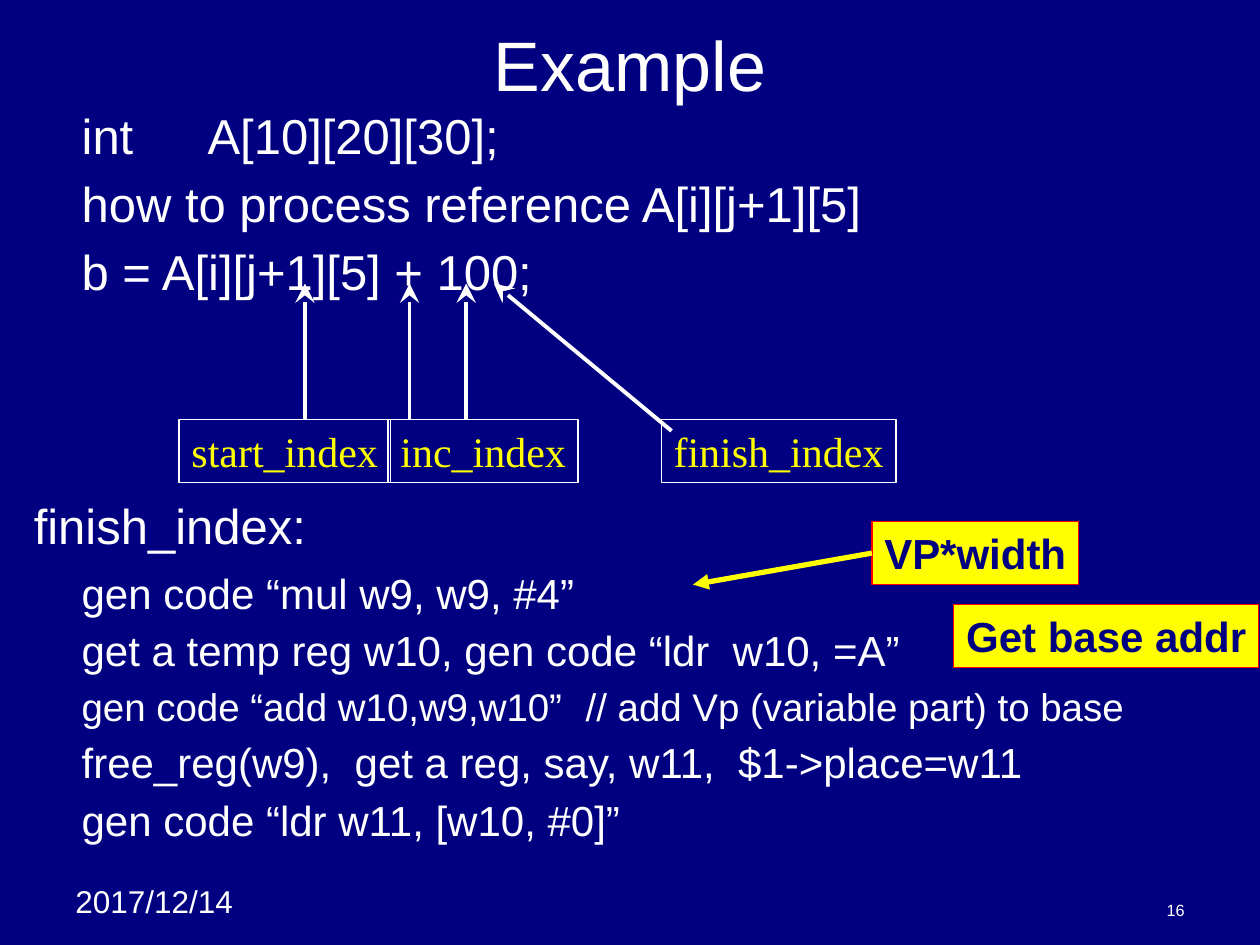
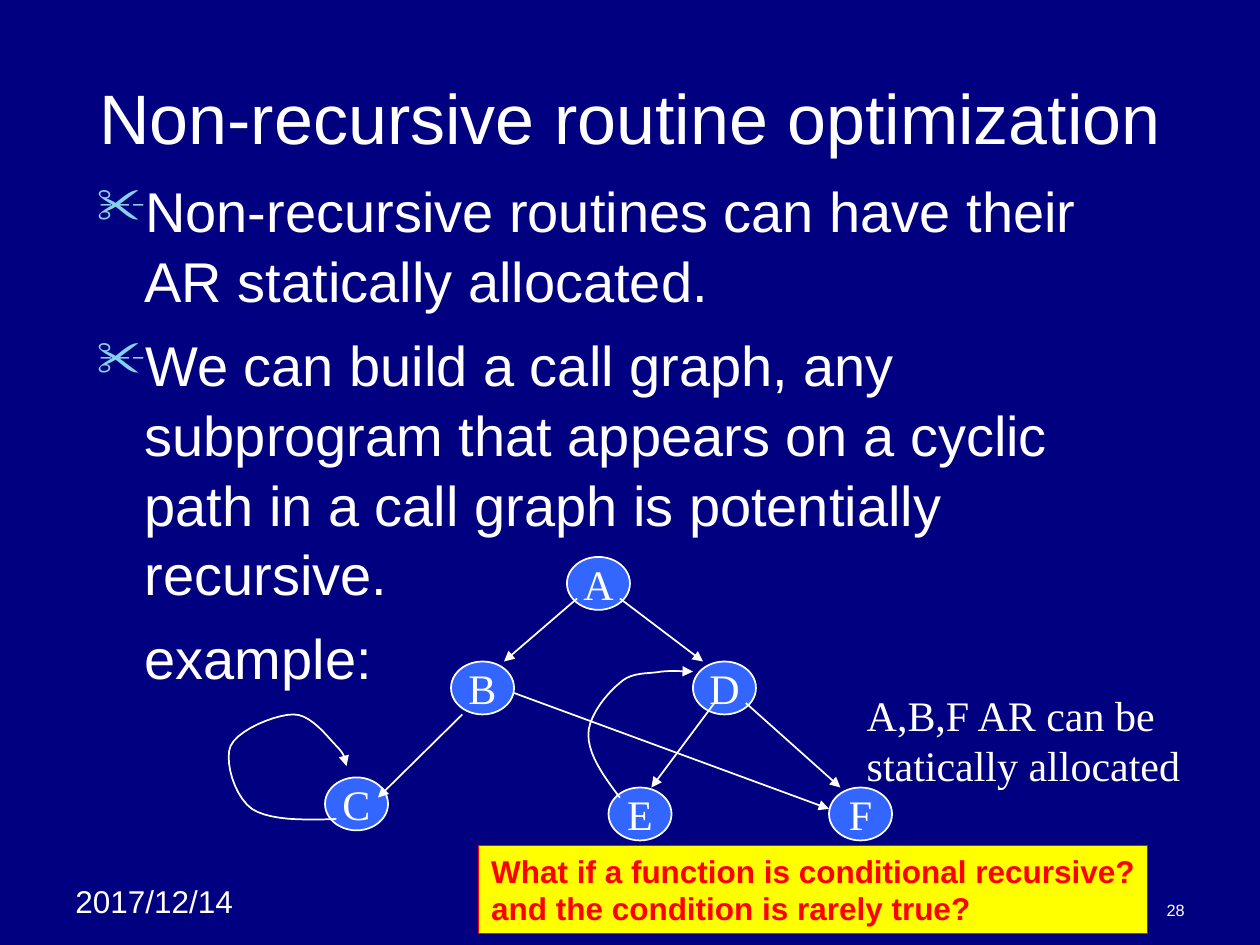
from pptx import Presentation
from pptx.dml.color import RGBColor
from pptx.enum.shapes import MSO_CONNECTOR, MSO_SHAPE
from pptx.enum.text import MSO_ANCHOR, PP_ALIGN
from pptx.oxml.ns import qn
from pptx.util import Inches, Pt
from lxml.etree import SubElement

COLORS = {"navy": "000080", "white": "FFFFFF", "yellow": "FFFF00",
          "red": "FF0000", "blue": "3366FF", "sky": "86D1EC"}
SANS, SERIF = "Arial", "Times New Roman"
INDENT = 0.38
CURVE_STEPS = 10


def rgb(name):
    return RGBColor.from_string(COLORS[name])


def add_bullet(para, char):
    props = para._p.get_or_add_pPr()
    color = SubElement(props, qn("a:buClr"))
    SubElement(color, qn("a:srgbClr"), val=COLORS["sky"])
    SubElement(props, qn("a:buSzPct"), val="90000")
    SubElement(props, qn("a:buChar"), char=char)


def add_tabs(para, count=7):
    """Set left tab stops one inch apart."""
    tabs = SubElement(para._p.get_or_add_pPr(), qn("a:tabLst"))
    for stop in range(1, count + 1):
        SubElement(tabs, qn("a:tab"), pos=str(Inches(stop)), algn="l")


def write(frame, lines, size=24, font=SANS, color="white", bold=False,
          align=PP_ALIGN.LEFT, anchor=MSO_ANCHOR.TOP, wrap=True,
          before=0, spacing=None):
    """Fill a frame; a line is a string or a (text, options) pair."""
    frame.word_wrap = wrap
    frame.vertical_anchor = anchor
    for number, line in enumerate(lines):
        text, options = (line, {}) if isinstance(line, str) else line
        para = frame.paragraphs[0] if number == 0 else frame.add_paragraph()
        para.alignment = align
        if spacing:
            para.line_spacing = spacing
        if number:
            para.space_before = Pt(options.get("before", before))
        props = para._p.get_or_add_pPr()
        if "indent" in options:
            props.set("marL", str(Inches(options["indent"])))
        if "bullet" in options:
            props.set("indent", str(-Inches(INDENT)))
            add_bullet(para, options["bullet"])
        if "\t" in text:
            add_tabs(para)
        span = para.add_run()
        span.text = text
        span.font.size = Pt(options.get("size", size))
        span.font.name = font
        span.font.bold = bold
        span.font.color.rgb = rgb(color)


def add_text(page, box, lines, **style):
    text_box = page.shapes.add_textbox(*map(Inches, box))
    write(text_box.text_frame, lines, **style)


def add_panel(page, box, lines, kind=MSO_SHAPE.RECTANGLE, fill=None,
              line="white", width=1, **style):
    panel = page.shapes.add_shape(kind, *map(Inches, box))
    panel.shadow.inherit = False
    if fill:
        panel.fill.solid()
        panel.fill.fore_color.rgb = rgb(fill)
    else:
        panel.fill.background()
    panel.line.color.rgb = rgb(line)
    panel.line.width = Pt(width)
    write(panel.text_frame, lines, wrap=False, **style)
    return panel


def add_note(page, box, lines, **style):
    return add_panel(page, box, lines, fill="yellow", line="red", width=0.75,
                     bold=True, **style)


def style_arrow(shape, color, width, head="triangle", head_size="med"):
    shape.line.color.rgb = rgb(color)
    shape.line.width = Pt(width)
    SubElement(shape.line._get_or_add_ln(), qn("a:tailEnd"),
               type=head, w=head_size, len=head_size)


def add_arrow(page, start, end, color="white", width=1, **head):
    arrow = page.shapes.add_connector(
        MSO_CONNECTOR.STRAIGHT, *map(Inches, (*start, *end)))
    style_arrow(arrow, color, width, **head)
    SubElement(arrow._element.spPr, qn("a:effectLst"))
    return arrow


def curve_points(start, segments):
    """Yield points along a chain of cubic curves (control, control, end)."""
    for first, second, end in segments:
        for step in range(1, CURVE_STEPS + 1):
            t = step / CURVE_STEPS
            s = 1 - t
            yield tuple(s**3 * a + 3 * s * s * t * b + 3 * s * t * t * c + t**3 * d
                        for a, b, c, d in zip(start, first, second, end))
        start = end


def add_loop(page, origin, start, segments):
    def place(point):
        return tuple(Inches(o + p) for o, p in zip(origin, point))

    builder = page.shapes.build_freeform(*place(start))
    builder.add_line_segments(
        [place(point) for point in curve_points(start, segments)], close=False)
    loop = builder.convert_to_shape()
    loop.shadow.inherit = False
    loop.fill.background()
    style_arrow(loop, "white", 1)


def add_page(deck, title, title_box, number):
    page = deck.slides.add_slide(deck.slide_layouts[6])
    page.background.fill.solid()
    page.background.fill.fore_color.rgb = rgb("navy")
    add_text(page, (0.5, 6.95, 1.58, 0.4), ["2017/12/14"], size=18)
    add_text(page, (7.17, 7.08, 2.33, 0.27), [number], size=9.3,
             align=PP_ALIGN.RIGHT, anchor=MSO_ANCHOR.BOTTOM)
    add_text(page, title_box, [title], size=40, align=PP_ALIGN.CENTER,
             anchor=MSO_ANCHOR.MIDDLE)
    return page


def add_index_labels(page, left, top):
    """Draw the labels in a row and point them at the expression above."""
    for offset, width, name in [(0, 1.68, "start_index"),
                                (1.66, 1.51, "inc_index"),
                                (3.83, 1.86, "finish_index")]:
        add_panel(page, (left + offset, top, width, 0.5), [name], font=SERIF,
                  color="yellow", align=PP_ALIGN.CENTER)
    for start_x, start_y, end_x in [(1, 0, 1), (1.83, 0, 1.83),
                                    (2.28, 0, 2.28), (3.91, 0.09, 2.5)]:
        add_arrow(page, (left + start_x, top + start_y),
                  (left + end_x, top - 1.08), width=2.25,
                  head="stealth", head_size="lg")


def add_code_notes(page, left, top):
    width_note = add_note(page, (left, top, 1.64, 0.5), ["VP*width"], color="navy")
    arrow = add_arrow(page, (left, top + 0.25), (left - 1.42, top + 0.5),
                      color="yellow", width=3)
    arrow.begin_connect(width_note, 1)
    add_note(page, (left + 0.65, top + 0.66, 2.42, 0.5), ["Get base addr"],
             color="navy")


def add_example_page(deck):
    page = add_page(deck, "Example", (0.75, 0.17, 8.5, 0.67), "16")
    inner = {"indent": INDENT}
    declaration = ["int\tA[10][20][30];",
                   "how to process reference A[i][j+1][5]",
                   "b = A[i][j+1][5] + 100;"]
    add_text(page, (0.17, 0.83, 9.83, 1.6), [(line, inner) for line in declaration],
             size=28, before=7, spacing=0.94)
    add_text(page, (0.17, 3.92, 9.83, 2.9), [
        ("finish_index:", {"size": 28}),
        ("gen code “mul w9, w9, #4”", {**inner, "before": 9}),
        ("get a temp reg w10, gen code “ldr  w10, =A”", inner),
        ("gen code “add w10,w9,w10” \t// add Vp (variable part) to base",
         {**inner, "size": 22}),
        ("free_reg(w9),  get a reg, say, w11,  $1->place=w11", inner),
        ("gen code “ldr w11, [w10, #0]”", inner),
    ], before=6, spacing=0.94)
    add_index_labels(page, 1.42, 3.33)
    add_code_notes(page, 6.92, 4.14)


def add_call_graph(page, left, top):
    node_width, node_height = 0.5, 0.42
    offsets = {"A": (2.72, 0), "B": (1.8, 0.83), "C": (0.8, 1.75),
               "D": (3.72, 0.83), "E": (3.05, 1.83), "F": (4.8, 1.83)}
    nodes = {name: (left + x, top + y) for name, (x, y) in offsets.items()}
    for name, corner in nodes.items():
        add_panel(page, (*corner, node_width, node_height), [name],
                  kind=MSO_SHAPE.OVAL, fill="blue", font=SERIF,
                  align=PP_ALIGN.CENTER, anchor=MSO_ANCHOR.MIDDLE)

    def on_node(name, point):
        return nodes[name][0] + point[0], nodes[name][1] + point[1]

    calls = [("A", (0.08, 0.33), "B", (0.42, 0)),
             ("B", (0.09, 0.42), "C", (0.42, 0.16)),
             ("A", (0.42, 0.33), "D", (0.08, 0)),
             ("D", (0.17, 0.33), "E", (0.34, 0)),
             ("D", (0.42, 0.33), "F", (0.09, 0)),
             ("B", (0.5, 0.25), "F", (0, 0.17))]
    for caller, start, callee, end in calls:
        add_arrow(page, on_node(caller, start), on_node(callee, end))

    add_loop(page, nodes["C"], (0.09, 0.33), [
        ((-0.18, 0.34), (-0.44, 0.34), (-0.58, 0.25)),
        ((-0.72, 0.15), (-0.8, -0.13), (-0.75, -0.25)),
        ((-0.69, -0.38), (-0.39, -0.5), (-0.25, -0.5)),
        ((-0.11, -0.5), (0.02, -0.32), (0.09, -0.25)),
        ((0.16, -0.18), (0.16, -0.14), (0.17, -0.09))])
    add_loop(page, nodes["E"], (0.09, 0.08), [
        ((-0.04, -0.09), (-0.16, -0.26), (-0.16, -0.42)),
        ((-0.16, -0.57), (-0.01, -0.75), (0.09, -0.83)),
        ((0.18, -0.92), (0.32, -0.9), (0.42, -0.92)),
        ((0.52, -0.93), (0.59, -0.92), (0.67, -0.92))])


def add_optimization_page(deck):
    page = add_page(deck, "Non-recursive routine optimization",
                    (0.5, 0.3, 9, 1.25), "28")
    bulleted = {"indent": INDENT, "bullet": "✂"}
    add_text(page, (0.67, 1.33, 8.5, 5.42), [
        ("Non-recursive routines can have their AR statically allocated.", bulleted),
        ("We can build a call graph, any subprogram that appears on a cyclic "
         "path in a call graph is potentially recursive.", bulleted),
        ("example:", {"indent": INDENT}),
    ], size=32, before=8, spacing=1.04)
    add_call_graph(page, 1.78, 4.42)
    add_text(page, (6.78, 5.42, 2.69, 0.9),
             ["A,B,F AR can be", "statically allocated"], font=SERIF, wrap=False)
    add_note(page, (3.8, 6.71, 5.31, 0.7),
             ["What if a function is conditional recursive?",
              "and the condition is rarely true?"], size=18, color="red")


def main():
    deck = Presentation()
    deck.slide_width, deck.slide_height = Inches(10), Inches(7.5)
    add_example_page(deck)
    add_optimization_page(deck)
    deck.save("out.pptx")


if __name__ == "__main__":
    main()
